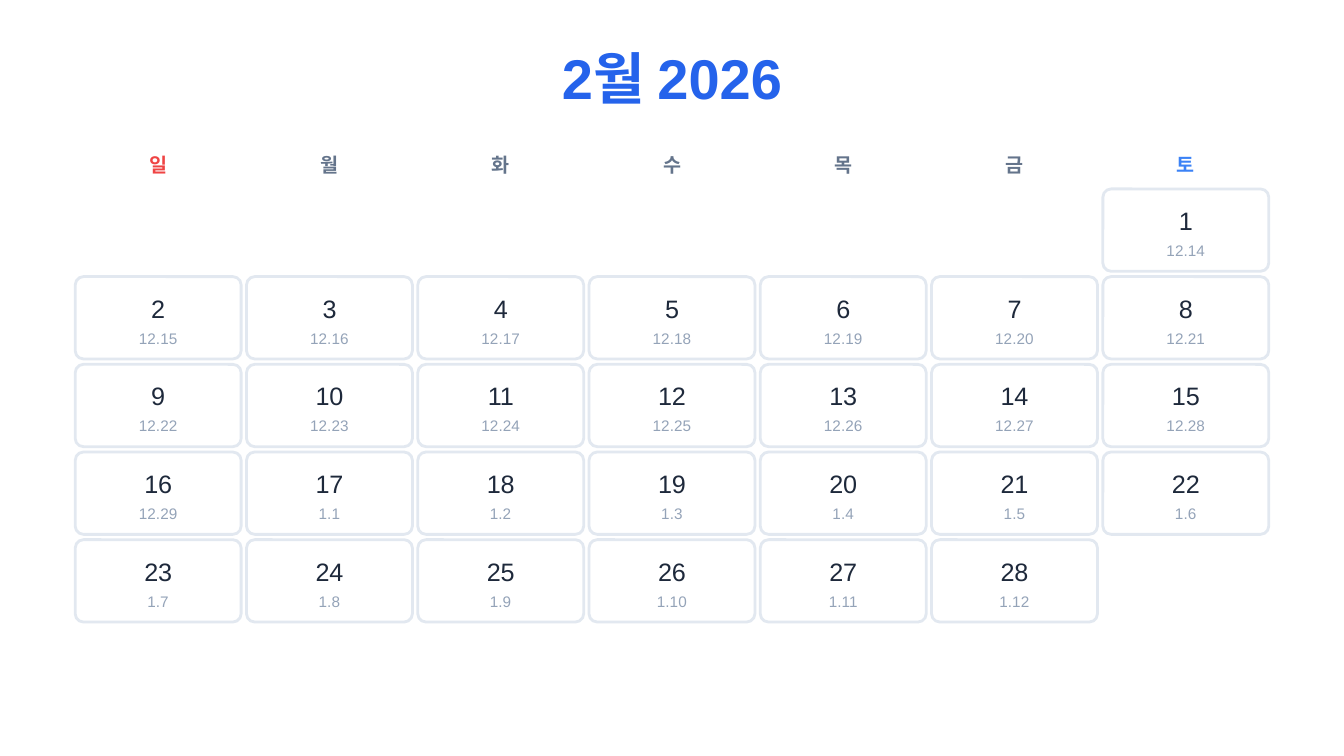
from pptx import Presentation
from pptx.dml.color import RGBColor
from pptx.enum.shapes import MSO_SHAPE
from pptx.enum.text import PP_ALIGN
from pptx.util import Inches, Pt

CENTER = PP_ALIGN.CENTER
ROUNDED = MSO_SHAPE.ROUNDED_RECTANGLE

WIDTH = 10
HEIGHT = WIDTH * 9 / 16
MARGIN = 0.54
COLUMN = (WIDTH - 2 * MARGIN) / 7
ROW = HEIGHT * 0.116
GAP = 0.04
GRID_TOP = HEIGHT / 4
FIRST_COLUMN = 6  # the month starts on a Saturday
DAYS = 28
LAST_OF_TWELFTH = 16  # day on which the 12th lunar month ends
WHITE, BLUE, SLATE = "FFFFFF", "2563EB", "64748B"
WEEKDAYS = [("일", "EF4444"), ("월", SLATE), ("화", SLATE), ("수", SLATE),
            ("목", SLATE), ("금", SLATE), ("토", "3B82F6")]


def color(value):
    return RGBColor.from_string(value)


def add_text(text, *, center, top, width, height, size, ink,
             bold=False, inset=0, line=None, after=0):
    box = page.shapes.add_textbox(Inches(center - width / 2), Inches(top),
                                  Inches(width), Inches(height))
    frame = box.text_frame
    frame.margin_left = frame.margin_right = Inches(inset)
    frame.margin_top = frame.margin_bottom = Inches(inset)
    para = frame.paragraphs[0]
    para.alignment = CENTER
    para.line_spacing = Pt(line or size * 1.4)
    para.space_after = Pt(after)
    span = para.add_run()
    span.text = text
    span.font.name = "Arial"
    span.font.size = Pt(size)
    span.font.bold = bold
    span.font.color.rgb = color(ink)


deck = Presentation()
deck.slide_width, deck.slide_height = Inches(WIDTH), Inches(HEIGHT)
page = deck.slides.add_slide(deck.slide_layouts[6])
page.background.fill.solid()
page.background.fill.fore_color.rgb = color(WHITE)

# Title
add_text("2월 2026", center=WIDTH / 2, top=0.36, width=4.58, height=0.46,
         size=30, ink=BLUE, bold=True, line=33.3, after=13.5)

# Weekday names
centers = [MARGIN + (column + 0.5) * COLUMN for column in range(7)]
for center, (name, ink) in zip(centers, WEEKDAYS):
    add_text(name, center=center, top=1.06, width=COLUMN - 0.01, height=0.31,
             size=10.5, ink=ink, bold=True, inset=0.05)

# Day cards with solar and lunar dates
for day in range(1, DAYS + 1):
    week, column = divmod(day - 1 + FIRST_COLUMN, 7)
    center, top = centers[column], GRID_TOP + week * ROW
    card_width, card_height = COLUMN - GAP, ROW - GAP
    card = page.shapes.add_shape(
        ROUNDED, Inches(center - card_width / 2), Inches(top),
        Inches(card_width), Inches(card_height))
    card.adjustments[0] = 0.1
    card.shadow.inherit = False
    card.fill.solid()
    card.fill.fore_color.rgb = color(WHITE)
    card.line.color.rgb = color("E2E8F0")
    card.line.width = Pt(1.5)

    solar = str(day)
    if day <= LAST_OF_TWELFTH:
        lunar = f"12.{day + 13}"
    else:
        lunar = f"1.{day - LAST_OF_TWELFTH}"
    add_text(solar, center=center, top=top + 0.13 * ROW,
             width=0.11 * len(solar), height=0.26,
             size=13.5, ink="1E293B", after=1.5)
    add_text(lunar, center=center, top=top + 0.56 * ROW,
             width=0.06 * len(lunar) - 0.01, height=0.16,
             size=8.25, ink="94A3B8")

deck.save("out.pptx")
